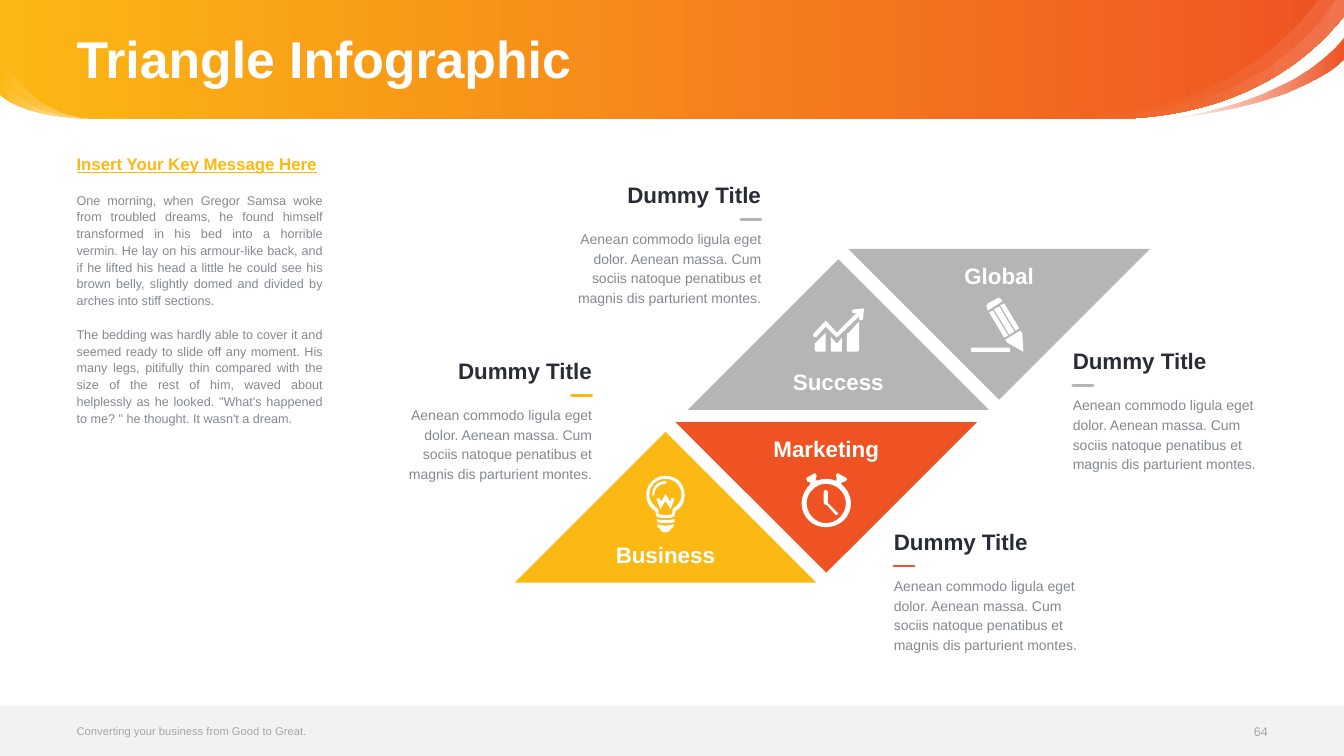
import pptx
import pptx.dml.color
import pptx.enum.shapes
import pptx.enum.text
import pptx.oxml
import pptx.oxml.ns
import pptx.util

COLS, ROWS = 1333, 750  # fine grid that covers the slide
CELL = pptx.util.Inches(0.01)
C = {"yellow": "FCB813", "orange": "EF5323", "silver": "B5B5B5", "white": "FFFFFF",
     "band": "F2F2F2", "body": "85898F", "dark": "292C34", "footer": "A6A6A6"}
RGB = {name: pptx.dml.color.RGBColor.from_string(code) for name, code in C.items()}
STYLES = {
    "title": dict(size=37, bold=True, color="white"),
    "key": dict(size=12, bold=True, underline=True, color="yellow"),
    "story": dict(size=9, color="body"),
    "footer": dict(size=8, color="footer"),
    "number": dict(size=9, color="footer"),
    "heading": dict(size=16, bold=True, color="dark"),
    "label": dict(size=16, bold=True, color="white"),
    "detail": dict(size=10, color="body"),
}
ALIGN = pptx.enum.text.PP_ALIGN
ANCHOR = pptx.enum.text.MSO_ANCHOR
qn, nsdecls = pptx.oxml.ns.qn, pptx.oxml.ns.nsdecls

prs = pptx.Presentation()
prs.slide_width, prs.slide_height = COLS * CELL, ROWS * CELL
s = prs.slides.add_slide(prs.slide_layouts[6])


def outline(contours, color=None):
    """Draw closed contours; a pair is a corner, six numbers are a Bézier curve."""
    fb, curves, count = None, [], 0
    for start, *segments in contours:
        pts = []
        for seg in segments:
            if len(seg) == 6:
                curves.append(count + len(pts))
            pts += zip(seg[::2], seg[1::2])
        count += len(pts)
        x, y = start[0] * CELL, start[1] * CELL
        if fb is None:
            fb = s.shapes.build_freeform(x, y, scale=1.0)
        else:
            fb.move_to(x, y)
        fb.add_line_segments([(px * CELL, py * CELL) for px, py in pts], close=True)
    sp = fb.convert_to_shape()
    lines = list(sp.element.iter(qn("a:lnTo")))
    for i in curves:
        bezier = pptx.oxml.parse_xml(f'<a:cubicBezTo {nsdecls("a")}/>')
        lines[i].addprevious(bezier)
        for line in lines[i:i + 3]:
            bezier.append(line[0])
            line.getparent().remove(line)
    sp.shadow.inherit = False
    sp.line.fill.background()
    if color:
        sp.fill.solid()
        sp.fill.fore_color.rgb = RGB[color]
    return sp


def text(box, lines, align=ALIGN.LEFT, anchor=ANCHOR.TOP, spacing=None, before=0):
    tf = s.shapes.add_textbox(*(int(v * CELL) for v in box)).text_frame
    frame = dict(word_wrap=True, vertical_anchor=anchor,
                 margin_left=0, margin_right=0, margin_top=0, margin_bottom=0)
    for name, value in frame.items():
        setattr(tf, name, value)
    for i, (style, words) in enumerate(lines):
        p = tf.paragraphs[0] if i == 0 else tf.add_paragraph()
        p.alignment = align
        if spacing:
            p.line_spacing = spacing
        if i:
            p.space_before = pptx.util.Pt(before)
        r = p.add_run()
        r.text = words
        r.font.name = "Arial"
        for name, value in STYLES[style].items():
            if name == "color":
                r.font.color.rgb = RGB[value]
            else:
                setattr(r.font, name, pptx.util.Pt(value) if name == "size" else value)


# Header swooshes: contour, then (position, colour, opacity) of both gradient stops
clear_to_faint = [(15, "white", 0), (100, "white", 10)]
clear_to_half = [(0, "white", 0), (100, "white", 50)]
swooshes = [
    ([(COLS, 0), (COLS, 16), (1266, 100, 1170, 117, 1105, 118), (97, 118),
      (18, 117, 0, 94, 0, 94), (0, 0)], [(0, "yellow", 100), (100, "orange", 100)]),
    ([(COLS, 0), (COLS, 16), (1224, 153, 1039, 113, 1034, 112),
      (1040, 112, 1232, 139, 1324, 0)], clear_to_faint),
    ([(1157, 118), (1157, 118, 1282, 103, COLS, 37), (COLS, 59),
      (COLS, 59, 1294, 104, 1157, 118)], [(0, "orange", 0), (100, "orange", 100)]),
    ([(COLS, 0), (COLS, 16), (1223, 155, 1034, 112, 1034, 112),
      (1189, 122, 1270, 50, 1307, 0)], clear_to_faint),
    ([(97, 118), (18, 117, 0, 94, 0, 94), (0, 76), (0, 76, 18, 117, 97, 118)], clear_to_half),
    ([(97, 118), (18, 117, 0, 94, 0, 94), (0, 45), (0, 45, 18, 116, 97, 118)], clear_to_half),
]
for contour, stops in swooshes:
    sp = outline([contour])
    sp.fill.gradient()
    sp.fill.gradient_angle = 0
    for stop, (position, color, _) in zip(sp.fill.gradient_stops, stops):
        stop.position = position / 100
        stop.color.rgb = RGB[color]
    for clr, (_, _, opacity) in zip(sp.element.iter(qn("a:srgbClr")), stops):
        if opacity < 100:
            clr.append(pptx.oxml.parse_xml(f'<a:alpha {nsdecls("a")} val="{opacity * 1000}"/>'))

footer = s.shapes.add_shape(pptx.enum.shapes.MSO_SHAPE.RECTANGLE, 0, 700 * CELL, COLS * CELL, 50 * CELL)
footer.shadow.inherit = False
footer.fill.solid()
footer.fill.fore_color.rgb = RGB["band"]
footer.line.fill.background()

MARGIN = 76
text((MARGIN, 5, 1181, 113), [("title", "Triangle Infographic")], anchor=ANCHOR.MIDDLE, spacing=0.9)
text((MARGIN, 156, 244, 519), [
    ("key", "Insert Your Key Message Here"),
    ("story", "One morning, when Gregor Samsa woke from troubled dreams, he found himself transformed "
              "in his bed into a horrible vermin. He lay on his armour-like back, and if he lifted his "
              "head a little he could see his brown belly, slightly domed and divided by arches into "
              "stiff sections."),
    ("story", "The bedding was hardly able to cover it and seemed ready to slide off any moment. His many "
              "legs, pitifully thin compared with the size of the rest of him, waved about helplessly as "
              "he looked. \"What's happened to me? \" he thought. It wasn't a dream."),
], align=ALIGN.JUSTIFY, spacing=pptx.util.Pt(12), before=12)
text((MARGIN, 712, 523, 26), [("footer", "Converting your business from Good to Great.")],
     anchor=ANCHOR.MIDDLE)
text((1194.5, 713, 63, 26), [("number", "64")], align=ALIGN.RIGHT, anchor=ANCHOR.MIDDLE)

# Triangles: left, base, direction of the apex, then the caption beside each
BASE, HEIGHT, BLOCK = 299, 149.5, 193
DETAIL = ("Aenean commodo ligula eget dolor. Aenean massa. Cum sociis natoque penatibus et "
          "magnis dis parturient montes.")
triangles = [
    ("Business", "yellow", 510.5, 578, -1, 394, 354.2, ALIGN.RIGHT),
    ("Global", "silver", 841.5, 247, 1, 1064, 344.5, ALIGN.LEFT),
    ("Marketing", "orange", 670, 418.7, 1, 886.6, 523.6, ALIGN.LEFT),
    ("Success", "silver", 682, 406.7, -1, 561.8, 179.5, ALIGN.RIGHT),
]
for name, color, x, y, way, block_x, block_y, align in triangles:
    mid = x + BASE / 2
    outline([[(x, y), (mid, y + way * HEIGHT), (x + BASE, y)]], color)
    text((mid - BLOCK / 2, y + (13.4 if way > 0 else -41.5), BLOCK, 27), [("label", name)], ALIGN.CENTER)
    text((block_x, block_y, BLOCK, 27), [("heading", "Dummy Title")], align)
    text((block_x, block_y + 46.5, BLOCK, 79), [("detail", DETAIL)], align, spacing=pptx.util.Pt(14))
    dash_x, dash_y = block_x + (BLOCK - 20 if align == ALIGN.RIGHT else 0), block_y + 38
    ends = (dash_x, dash_y, dash_x + 20, dash_y)
    ln = s.shapes.add_connector(pptx.enum.shapes.MSO_CONNECTOR.STRAIGHT, *(int(v * CELL) for v in ends))
    ln.line.color.rgb = RGB[color]
    ln.line.width = pptx.util.Pt(2)
    ln.element.spPr.find(qn("a:ln")).set("cap", "rnd")
    ln.element.spPr.append(pptx.oxml.parse_xml(f'<a:effectLst {nsdecls("a")}/>'))

bulb = [
    [(660, 472), (650, 472, 641, 480, 641, 491), (641, 498, 644, 504, 650, 507), (651, 512),
     (653, 514, 657, 514, 660, 514), (663, 514, 667, 514, 669, 512), (670, 507),
     (676, 504, 679, 498, 679, 491), (679, 480, 671, 472, 660, 472)],
    [(667, 505), (667, 510), (667, 510, 665, 511, 660, 511), (655, 511, 653, 510, 653, 510), (653, 505),
     (648, 502, 644, 497, 644, 491), (644, 482, 651, 475, 660, 475),
     (669, 475, 676, 482, 676, 491), (676, 497, 672, 502, 667, 505)],
    [(651, 515), (652, 518), (657, 519.5, 663, 519.5, 669, 518), (669, 515), (663, 516.5, 657, 516.5, 651, 515)],
    [(652, 520), (652, 523), (655, 525), (655, 526), (657, 529, 663, 529, 665, 526), (665, 525),
     (668, 523), (668, 520), (663, 522, 657, 522, 652, 520)],
    [(660, 480), (661.5, 480, 661.5, 477, 660, 477), (653, 477, 646, 483, 647, 492), (649, 491),
     (649, 484, 654, 480, 660, 480)],
    [(665, 498), (660, 490), (656, 498), (654, 494), (651, 495), (655, 505), (660, 497),
     (665, 505), (669, 495), (666, 494)],
]
growth = [
    [(824, 334), (824, 349), (835, 349), (835, 335), (830, 341)],
    [(808, 347), (808, 348, 809, 349, 810, 349), (819, 349), (819, 330), (808, 341)],
    [(840, 331), (840, 349), (850, 349), (851, 349, 852, 348, 852, 347), (852, 319), (842, 330)],
    [(847, 307), (844.5, 307, 844.5, 311, 847, 311), (850, 310), (830, 330), (819, 318), (807, 331),
     (805, 333, 808, 336, 810, 334), (819, 324), (830, 335), (852, 314), (852, 316),
     (852, 318.5, 856, 318.5, 856, 316), (857, 306)],
]
pencil = [
    [(999, 340), (1015, 349), (1014, 331), (1012, 328), (997, 337)],
    [(1007, 328), (1011, 326), (996, 301), (992, 303)],
    [(1006, 329), (991, 304), (986, 307), (1001, 332)],
    [(981, 310), (996, 335), (1000, 333), (985, 308)],
    [(980, 308), (994, 299), (993, 297), (992, 295, 990, 295, 989, 296), (980, 301),
     (978, 302, 978, 305, 979, 306)],
    [(963, 349), (1002, 349), (1002, 345), (963, 345)],
]
clock = [
    [(821, 499), (821, 488), (821, 485.5, 817, 485.5, 817, 488), (817, 499),
     (817, 500, 818, 501, 820, 501), (829, 511), (830, 512, 832, 510, 831, 509)],
    [(834, 480), (836, 478), (838, 478), (840, 476), (840, 475, 840, 474, 839, 474), (832, 470),
     (832, 469, 830, 470, 830, 470), (829, 472), (830, 475), (829, 477),
     (823, 474.5, 816, 474.5, 810, 477), (809, 475), (810, 472), (809, 470),
     (809, 470, 808, 469, 807, 470), (800, 474), (800, 474, 799, 475, 800, 476), (801, 478),
     (803, 478), (804, 480), (799, 485, 795, 492, 795, 499), (795, 513, 806, 523, 819, 523),
     (833, 523, 844, 513, 844, 499), (844, 492, 840, 485, 834, 480)],
    [(819, 519), (809, 519, 800, 510, 800, 499), (800, 489, 809, 480, 819, 480),
     (830, 480, 839, 489, 839, 499), (839, 510, 830, 519, 819, 519)],
]
for icon in (bulb, clock, growth, pencil):
    outline(icon, "white")

prs.save("out.pptx")
